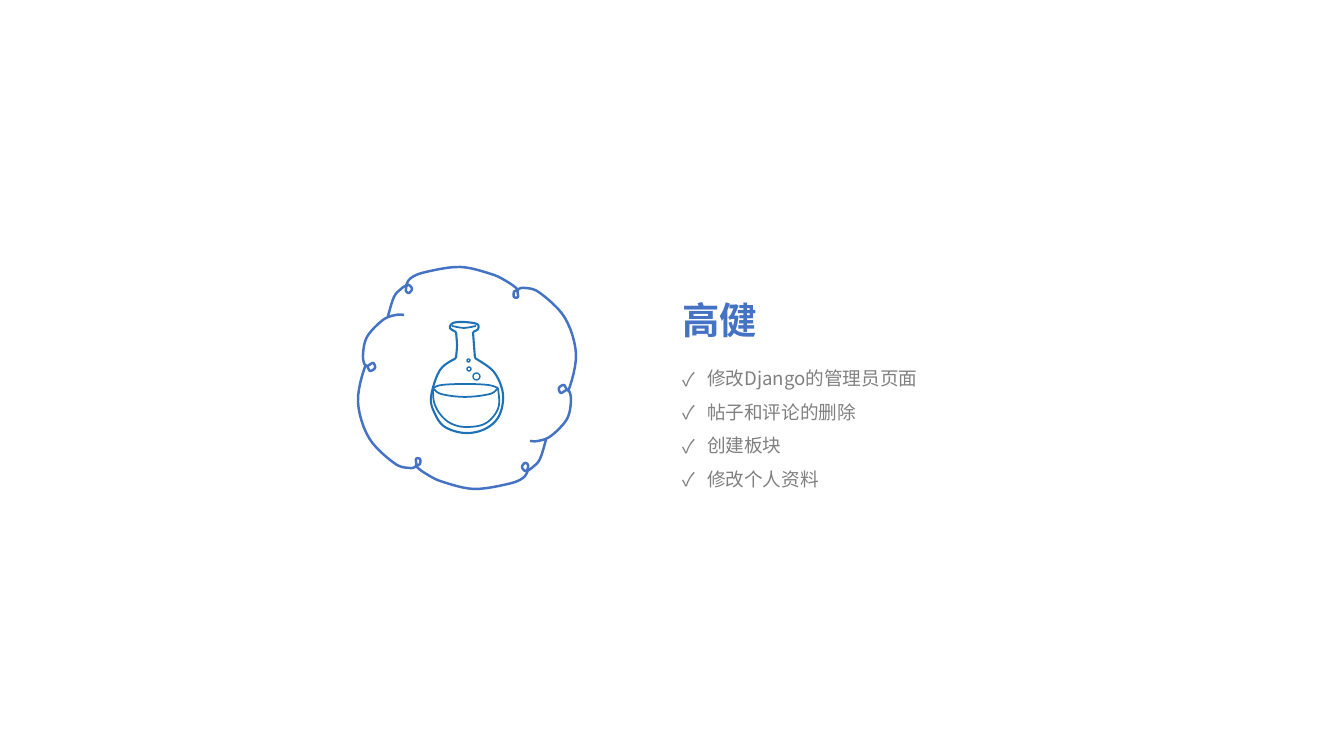
from lxml import etree
from pptx import Presentation
from pptx.dml.color import RGBColor
from pptx.enum.shapes import MSO_SHAPE as Shape
from pptx.enum.text import MSO_ANCHOR as Anchor, MSO_AUTO_SIZE as AutoSize, PP_ALIGN as Align
from pptx.oxml.ns import qn
from pptx.util import Emu, Pt

NAME = "高健"
TASKS = ["修改Django的管理员页面", "帖子和评论的删除", "创建板块", "修改个人资料"]
FONT = "Noto Sans CJK SC"
BLUE, FLASK_BLUE, GRAY = "4472C4", "1D71B7", "808080"

NAME_BOX = (672, 292, 423, 56)
TASKS_BOX = (672, 351, 262, 142)
BULLET_INDENT = 25

CLOUD_CENTER = (467, 378)
CLOUD_HALF = [
    (546, 440), (540, 459), (533, 467), (528, 470), (528, 465), (525, 463),
    (522, 467), (525, 471), (528, 470), (523, 478), (508, 484), (474, 489),
    (443, 482), (428, 475), (417, 467), (420, 464), (420, 459), (416, 459),
    (416, 466), (409, 468), (394, 463), (369, 438), (358, 402), (365, 367),
    (370, 371), (375, 368), (373, 363), (366, 366), (363, 356), (367, 337),
    (383, 320), (396, 315), (404, 315),
]
GLASS = [
    [(473, 332), (474, 345), (475, 358)],
    [(475, 358), (494, 372), (503, 394), (499, 416), (485, 429), (465, 433),
     (445, 427), (435, 414), (431, 397), (440, 370), (456, 358)],
    [(456, 358), (457, 345), (456, 332)],
    [(456, 332), (450, 328), (453, 323), (464, 322), (477, 324), (478, 329), (473, 332)],
]
RIM = [[(452, 326), (464, 328), (476, 326)]]
LIQUID = [
    [(433, 388), (442, 385), (465, 384), (488, 385), (498, 388)],
    [(433, 388), (441, 394), (465, 397), (490, 394), (498, 388)],
    [(433, 388), (434, 402), (440, 414), (450, 423), (464, 427), (482, 425),
     (493, 417), (499, 405), (498, 388)],
]
BUBBLES = [(473, 373, 7), (467, 367, 4), (467, 359, 3)]  # left, top, diameter

STEPS = 6


def px(value):
    return Emu(round(value * 914400 / 100.8))


def color(value):
    return RGBColor.from_string(value)


def place(shape, left, top, width, height):
    shape.left, shape.top = px(left), px(top)
    shape.width, shape.height = px(width), px(height)


def smooth_curve(points):
    """Return a Catmull-Rom curve through the points, sampled in EMU."""
    padded = [points[0], *points, points[-1]]
    curve = [points[0]]
    for a, b, c, d in zip(padded, padded[1:], padded[2:], padded[3:]):
        for step in range(1, STEPS + 1):
            t = step / STEPS
            curve.append(tuple(
                (2 * q + (r - p) * t + (2 * p - 5 * q + 4 * r - s) * t ** 2
                 + (3 * q - p - 3 * r + s) * t ** 3) / 2
                for p, q, r, s in zip(a, b, c, d)))
    return [(px(x), px(y)) for x, y in curve]


def outline(shape, line_color, width):
    shape.shadow.inherit = False
    shape.fill.background()
    shape.line.color.rgb = color(line_color)
    shape.line.width = Pt(width)


def draw_strokes(group, strokes, line_color, width):
    first, *others = [smooth_curve(stroke) for stroke in strokes]
    builder = group.shapes.build_freeform(*first[0], scale=1.0)
    builder.add_line_segments(first[1:], close=False)
    for curve in others:
        builder.move_to(*curve[0])
        builder.add_line_segments(curve[1:], close=False)
    outline(builder.convert_to_shape(), line_color, width)


def write(paragraph, text, size, text_color, bold=False, line_spacing=1.0):
    paragraph.alignment = Align.LEFT
    paragraph.space_before = Pt(0)
    paragraph.line_spacing = line_spacing
    run = paragraph.add_run()
    run.text = text
    run.font.name = FONT
    run.font.size = Pt(size)
    run.font.bold = bold
    run.font.color.rgb = color(text_color)
    etree.SubElement(run.font._element, qn("a:ea"), typeface=FONT)


def add_bullet(paragraph, character):
    properties = paragraph._p.get_or_add_pPr()
    properties.set("marL", str(px(BULLET_INDENT)))
    properties.set("indent", str(-px(BULLET_INDENT)))
    etree.SubElement(properties, qn("a:buFont"), typeface=FONT)
    etree.SubElement(properties, qn("a:buChar"), char=character)


def prepare_frame(shape, box, anchor):
    place(shape, *box)
    frame = shape.text_frame
    frame.word_wrap = True
    frame.auto_size = AutoSize.NONE
    frame.vertical_anchor = anchor
    return frame


def main():
    presentation = Presentation()
    presentation.slide_width, presentation.slide_height = px(1344), px(756)
    slide = presentation.slides.add_slide(presentation.slide_layouts[1])

    tasks_frame = prepare_frame(slide.placeholders[1], TASKS_BOX, Anchor.TOP)
    for index, task in enumerate(TASKS):
        paragraph = tasks_frame.add_paragraph() if index else tasks_frame.paragraphs[0]
        write(paragraph, task, 13.3, GRAY, line_spacing=1.5)
        add_bullet(paragraph, "✓")

    name_frame = prepare_frame(slide.shapes.title, NAME_BOX, Anchor.MIDDLE)
    write(name_frame.paragraphs[0], NAME, 26.7, BLUE, bold=True)

    cloud = slide.shapes.add_group_shape()
    center_x, center_y = CLOUD_CENTER
    opposite_half = [(2 * center_x - x, 2 * center_y - y) for x, y in CLOUD_HALF]
    for half in (CLOUD_HALF, opposite_half):
        draw_strokes(cloud, [half], BLUE, 1.75)

    flask = slide.shapes.add_group_shape()
    for strokes, width in ((GLASS, 1.5), (RIM, 1.25), (LIQUID, 1.25)):
        draw_strokes(flask, strokes, FLASK_BLUE, width)
    for left, top, diameter in BUBBLES:
        bubble = flask.shapes.add_shape(
            Shape.OVAL, px(left), px(top), px(diameter), px(diameter))
        outline(bubble, FLASK_BLUE, 1)

    presentation.save("out.pptx")


if __name__ == "__main__":
    main()
